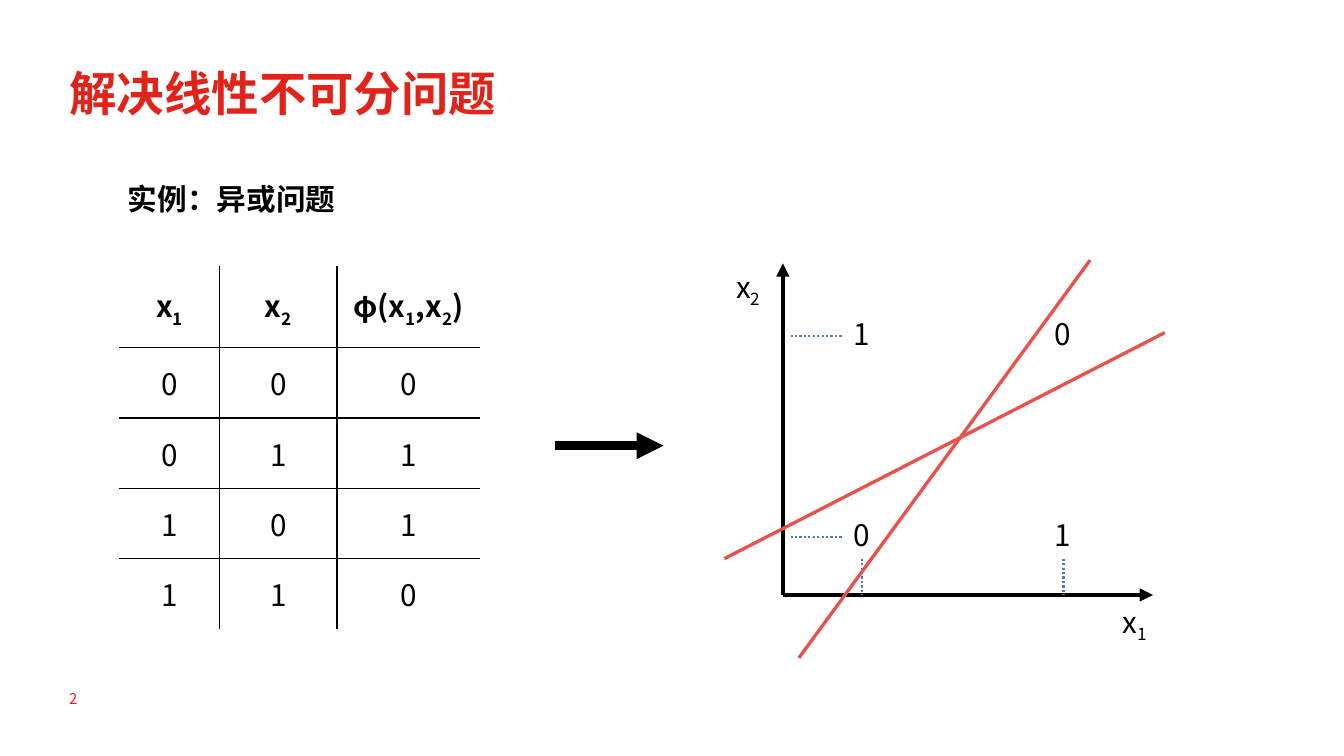
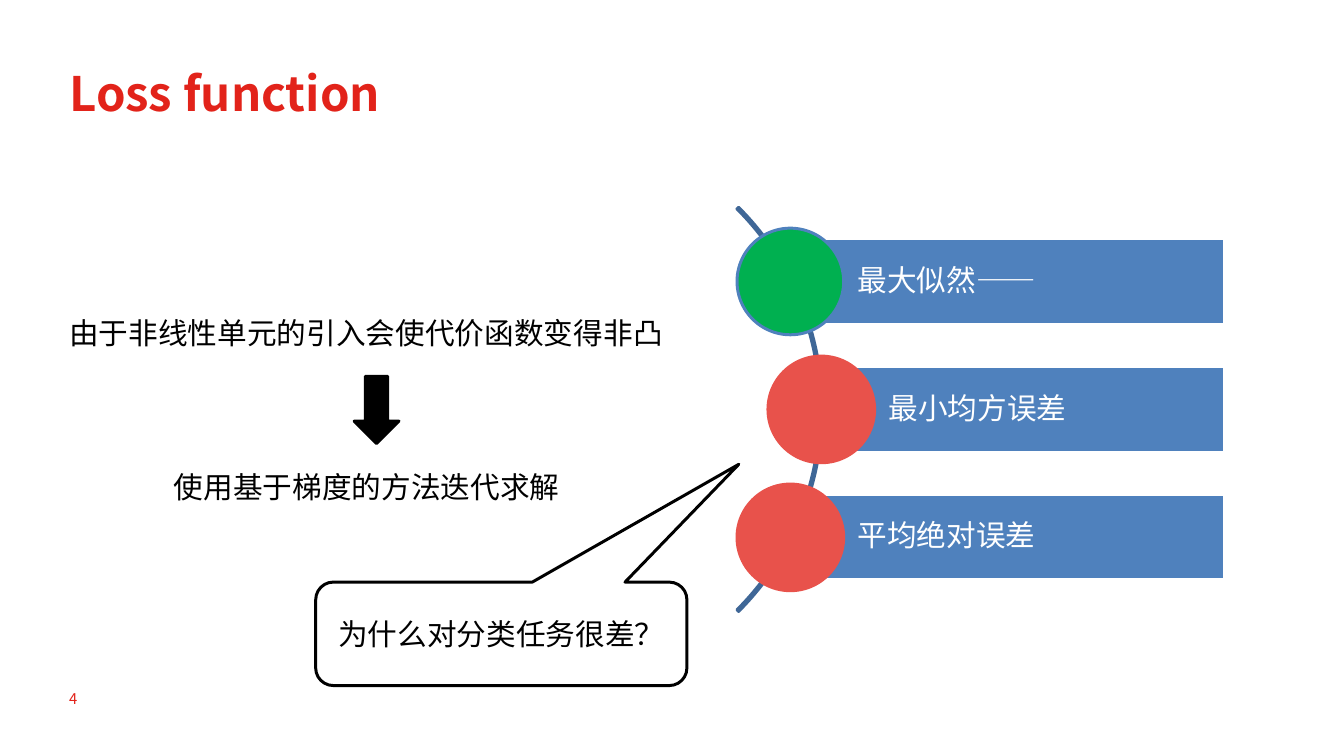
from itertools import product

from lxml.etree import SubElement
from pptx import Presentation
from pptx.dml.color import RGBColor
from pptx.enum.dml import MSO_LINE
from pptx.enum.shapes import MSO_CONNECTOR, MSO_SHAPE
from pptx.enum.text import MSO_ANCHOR, PP_ALIGN
from pptx.oxml.ns import qn
from pptx.util import Inches, Pt

FONT = "Noto Sans CJK SC"
HUES = {
    "brand": "E2231A",
    "ink": "000000",
    "paper": "FFFFFF",
    "cut": "E8524B",
    "guide": "4B7EBC",
    "bar": "4F81BD",
    "arc": "3F6797",
    "good": "00B050",
}
PLAIN = "{2D5ABB26-0587-4C30-8999-92F81FD0307C}"


def tint(name):
    return RGBColor.from_string(HUES[name])


def inch(*sizes):
    return [Inches(size) for size in sizes]


def write(frame, parts, size=20, hue="ink", bold=False, align=PP_ALIGN.LEFT):
    line = frame.paragraphs[0]
    line.alignment = align
    for spot, part in enumerate(parts):
        run = line.add_run()
        run.text = part
        font = run.font
        font.name, font.size, font.bold = FONT, Pt(size), bold
        font.color.rgb = tint(hue)
        props = run._r.get_or_add_rPr()
        SubElement(props, qn("a:ea"), typeface=FONT)
        if spot % 2:
            props.set("baseline", "-25000")
    return line


def label(slide, box, parts, **style):
    frame = slide.shapes.add_textbox(*inch(*box)).text_frame
    frame.word_wrap = False
    write(frame, parts, **style)


def stroke(slide, start, end, hue, width, arrow=False, dots=False):
    link = slide.shapes.add_connector(MSO_CONNECTOR.STRAIGHT, *inch(*start, *end))
    link.line.color.rgb = tint(hue)
    link.line.width = Pt(width)
    if dots:
        link.line.dash_style = MSO_LINE.ROUND_DOT
    props = link._element.spPr
    if arrow:
        SubElement(props.find(qn("a:ln")), qn("a:tailEnd"), type="triangle")
    SubElement(props, qn("a:effectLst"))


def block(slide, kind, box, fill, edge, tweaks=()):
    shape = slide.shapes.add_shape(kind, *inch(*box))
    shape.shadow.inherit = False
    if fill:
        shape.fill.solid()
        shape.fill.fore_color.rgb = tint(fill)
    else:
        shape.fill.background()
    shape.line.color.rgb = tint(edge)
    shape.line.width = Pt(2)
    for spot, tweak in enumerate(tweaks):
        shape.adjustments[spot] = tweak
    return shape


def page(deck, title, number):
    slide = deck.slides.add_slide(deck.slide_layouts[5])
    head = slide.shapes.title
    head.left, head.top, head.width, head.height = inch(0.55, 0.55, 6.69, 0.71)
    head.text_frame.vertical_anchor = MSO_ANCHOR.TOP
    write(head.text_frame, [title], size=32, hue="brand", bold=True)
    label(slide, (0.55, 6.42, 0.94, 0.27), [number], size=10, hue="brand")
    return slide


def rule(cell, sides):
    props = cell._tc.get_or_add_tcPr()
    for side in sides:
        edge = SubElement(props, qn("a:ln" + side), w=str(Pt(1)))
        fill = SubElement(edge, qn("a:solidFill"))
        SubElement(fill, qn("a:srgbClr"), val=HUES["ink"])


def truth(slide, box):
    heads = [("x", "1"), ("x", "2"), ("φ(x", "1", ",x", "2", ")")]
    rows = [heads] + [[str(a), str(b), str(a ^ b)] for a, b in product((0, 1), repeat=2)]
    grid = slide.shapes.add_table(len(rows), len(heads), *inch(*box)).table
    grid.first_row = grid.horz_banding = False
    grid._tbl.tblPr.find(qn("a:tableStyleId")).text = PLAIN
    for col, width in zip(grid.columns, (0.94, 1.1, 1.34)):
        col.width = Inches(width)
    for r, row in enumerate(rows):
        grid.rows[r].height = Inches(0.66 if r else 0.77)
        for c, parts in enumerate(row):
            cell = grid.cell(r, c)
            inner = {"L": c > 0, "R": c < len(heads) - 1, "T": r > 0, "B": r < len(rows) - 1}
            rule(cell, [side for side, shown in inner.items() if shown])
            cell.fill.background()
            cell.vertical_anchor = MSO_ANCHOR.MIDDLE
            write(cell.text_frame, parts, bold=r == 0, align=PP_ALIGN.CENTER)


def plot(slide, box):
    x, y, w, h = box
    left, base = x + 0.55, y + 3.14
    mid = {"align": PP_ALIGN.CENTER}
    stroke(slide, (left, base), (left + 3.47, base), "ink", 3, arrow=True)
    stroke(slide, (left, base), (left, y + 0.03), "ink", 3, arrow=True)
    across = [left + 0.74 + 1.89 * k for k in (0, 1)]
    up = [base - 0.54 - 1.89 * k for k in (0, 1)]
    for a, b in product((0, 1), repeat=2):
        label(slide, (across[a] - 0.19, up[b] - 0.24, 0.37, 0.44), [str(a ^ b)], **mid)
    for tick in across:
        stroke(slide, (tick, base - 0.34), (tick, base), "guide", 1.5, dots=True)
    for tick in up:
        stroke(slide, (left + 0.55, tick), (left + 0.08, tick), "guide", 1.5, dots=True)
    label(slide, (left + 3.07, base + 0.03, 0.45, 0.44), ("x", "1"), **mid)
    label(slide, (x, y + 0.03, 0.45, 0.44), ("x", "2"), **mid)
    stroke(slide, (x + 3.43, y), (x + 0.7, y + h), "cut", 2.25)
    stroke(slide, (x + w, y + 0.68), (x, y + 2.8), "cut", 2.25)


def reason(slide, box):
    x, y, w, h = box
    label(slide, (x, y, w, 0.44), ["由于非线性单元的引入会使代价函数变得非凸"])
    block(slide, MSO_SHAPE.DOWN_ARROW, (x + 2.77, y + 0.63, 0.42, 0.63), "ink", "ink")
    label(slide, (x + 0.98, y + h - 0.44, 3.85, 0.44), ["使用基于梯度的方法迭代求解"])


def choices(slide, box):
    x, y, w, h = box
    ring = (x + w - 9.13, y, h, h)
    block(slide, MSO_SHAPE.BLOCK_ARC, ring, None, "arc", (189, 27, 0.004))
    items = [
        ("最大似然——", 0, "good", "bar"),
        ("最小均方误差", 0.29, "cut", "cut"),
        ("平均绝对误差", 0, "cut", "cut"),
    ]
    for spot, (text, shift, fill, edge) in enumerate(items):
        left, top = x + 0.5 + shift, y + 1.08 + 1.2 * spot
        bar = block(slide, MSO_SHAPE.RECTANGLE, (left, top, x + w - left, 0.8), "bar", "paper")
        frame = bar.text_frame
        frame.word_wrap = True
        frame.vertical_anchor = MSO_ANCHOR.MIDDLE
        frame.margin_left = Inches(0.63)
        frame.margin_right = frame.margin_top = frame.margin_bottom = Inches(0.06)
        write(frame, [text], hue="paper").line_spacing = 0.9
        block(slide, MSO_SHAPE.OVAL, (left - 0.5, top - 0.1, 1, 1), fill, edge)


def query(slide, box):
    kind = MSO_SHAPE.ROUNDED_RECTANGULAR_CALLOUT
    bubble = block(slide, kind, box, None, "ink", (0.64, -1.64, 0.17))
    bubble.text_frame.vertical_anchor = MSO_ANCHOR.MIDDLE
    write(bubble.text_frame, ["为什么对分类任务很差？"], align=PP_ALIGN.CENTER)


def main():
    deck = Presentation()
    deck.slide_width, deck.slide_height = inch(12.6, 7.09)

    slide = page(deck, "解决线性不可分问题", "2")
    label(slide, (1.1, 1.65, 2.17, 0.44), ["实例：异或问题"], bold=True)
    truth(slide, (1.12, 2.49, 3.39, 3.39))
    stroke(slide, (5.2, 4.18), (6.22, 4.18), "ink", 6, arrow=True)
    plot(slide, (6.79, 2.44, 4.13, 3.73))

    slide = page(deck, "Loss function", "4")
    reason(slide, (0.55, 2.9, 5.81, 1.89))
    choices(slide, (6.91, 1.16, 4.57, 5.36))
    query(slide, (2.96, 5.46, 3.48, 0.97))

    deck.save("out.pptx")


main()
